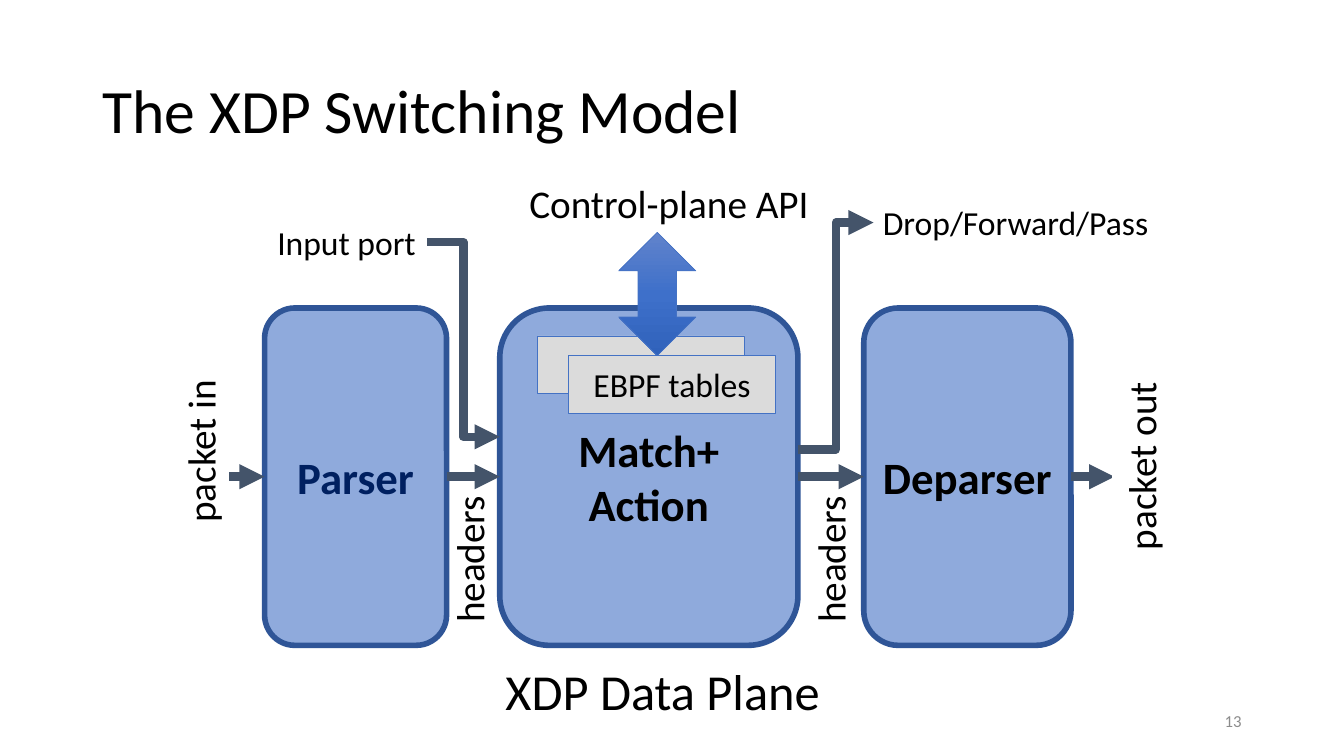
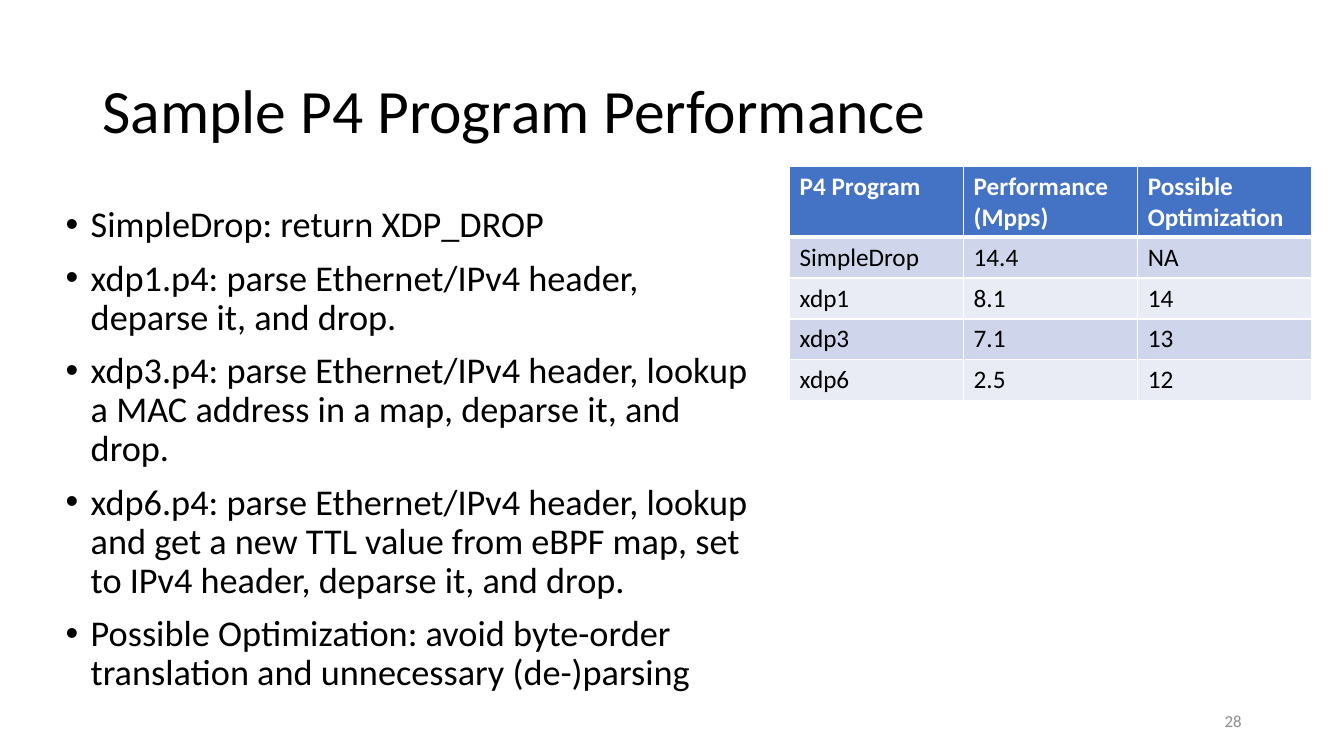
import copy

import pptx
import pptx.dml.color
import pptx.enum.shapes
import pptx.enum.text
import pptx.oxml.ns
import pptx.util
from lxml import etree

BLACK = pptx.dml.color.RGBColor(0x00, 0x00, 0x00)
WHITE = pptx.dml.color.RGBColor(0xFF, 0xFF, 0xFF)
NAVY = pptx.dml.color.RGBColor(0x00, 0x20, 0x60)
GREY = pptx.dml.color.RGBColor(0x8C, 0x8C, 0x8C)
BLOCK_FILL = pptx.dml.color.RGBColor(0x8F, 0xAA, 0xDC)
BLOCK_LINE = pptx.dml.color.RGBColor(0x2F, 0x55, 0x97)
ARROW = pptx.dml.color.RGBColor(0x44, 0x54, 0x6A)
ACCENT = pptx.dml.color.RGBColor(0x44, 0x72, 0xC4)
TABLE_GREY = pptx.dml.color.RGBColor(0xDB, 0xDB, 0xDB)
BAND_DARK = pptx.dml.color.RGBColor(0xCF, 0xD5, 0xEA)
BAND_LIGHT = pptx.dml.color.RGBColor(0xE9, 0xEB, 0xF5)
GRADIENT = (
    pptx.dml.color.RGBColor(0x61, 0x83, 0xCB),
    pptx.dml.color.RGBColor(0x3E, 0x70, 0xCA),
    pptx.dml.color.RGBColor(0x30, 0x62, 0xBB),
)
FONT = "Calibri"
SHAPE = pptx.enum.shapes.MSO_SHAPE
CONNECTOR = pptx.enum.shapes.MSO_CONNECTOR
ALIGN = pptx.enum.text.PP_ALIGN
ANCHOR = pptx.enum.text.MSO_ANCHOR

TITLE_BOX = (66, 29, 828, 104)
NUMBER_BOX = (678, 500.4, 216, 28.8)

PROGRAMS = [
    "SimpleDrop: return XDP_DROP",
    "xdp1.p4: parse Ethernet/IPv4 header, deparse it, and drop.",
    "xdp3.p4: parse Ethernet/IPv4 header, lookup a MAC address in a map, deparse it, and drop.",
    "xdp6.p4: parse Ethernet/IPv4 header, lookup and get a new TTL value from eBPF map, "
    "set to IPv4 header, deparse it, and drop.",
    "Possible Optimization: avoid byte-order translation and unnecessary (de-)parsing",
]
RESULTS = [
    ("P4 Program", "Performance (Mpps)", "Possible Optimization"),
    ("SimpleDrop", "14.4", "NA"),
    ("xdp1", "8.1", "14"),
    ("xdp3", "7.1", "13"),
    ("xdp6", "2.5", "12"),
]


def pts(*values):
    return [pptx.util.Pt(v) for v in values]


def write(tf, text, size=18, color=BLACK, bold=False, align=ALIGN.LEFT,
          spacing=None, gap=0, bullet=False):
    for i, line in enumerate(text.split("\n")):
        p = tf.add_paragraph() if i else tf.paragraphs[0]
        if bullet:
            pPr = p._p.get_or_add_pPr()
            indent = pptx.util.Pt(18)
            pPr.set("marL", str(indent))
            pPr.set("indent", str(-indent))
            etree.SubElement(pPr, pptx.oxml.ns.qn("a:buChar")).set("char", "•")
        p.alignment = align
        p.space_before = pptx.util.Pt(gap if i else 0)
        if spacing:
            p.line_spacing = spacing
        r = p.add_run()
        r.text = line
        r.font.name = FONT
        r.font.size = pptx.util.Pt(size)
        r.font.bold = bold
        r.font.color.rgb = color


def fill_placeholder(sp, box, text, **fmt):
    sp.left, sp.top, sp.width, sp.height = pts(*box)
    sp.text_frame.auto_size = pptx.enum.text.MSO_AUTO_SIZE.NONE
    write(sp.text_frame, text, spacing=0.9, **fmt)


def add_label(s, box, text, wrap=False, anchor=ANCHOR.TOP, **fmt):
    sp = s.shapes.add_textbox(*pts(*box))
    sp.text_frame.word_wrap = wrap
    sp.text_frame.vertical_anchor = anchor
    write(sp.text_frame, text, **fmt)
    return sp


def add_vertical_label(s, cx, cy, length, text, fill=None):
    height = 41
    sp = add_label(s, (cx - length / 2, cy - height / 2, length, height), text, size=28)
    sp.rotation = 270
    if fill is not None:
        sp.fill.solid()
        sp.fill.fore_color.rgb = fill


def add_block(s, kind, box, fill, line, weight, text="", wrap=True, **fmt):
    sp = s.shapes.add_shape(kind, *pts(*box))
    sp.shadow.inherit = False
    sp.fill.solid()
    sp.fill.fore_color.rgb = fill
    sp.line.color.rgb = line
    sp.line.width = pptx.util.Pt(weight)
    sp.text_frame.word_wrap = wrap
    sp.text_frame.vertical_anchor = ANCHOR.MIDDLE
    if text:
        write(sp.text_frame, text, align=ALIGN.CENTER, **fmt)
    return sp


def add_arrow(s, start, end, kind=CONNECTOR.STRAIGHT, source=None, target=None):
    c = s.shapes.add_connector(kind, *pts(*start, *end))
    if source is not None:
        c.begin_connect(source, 3)
    if target is not None:
        c.end_connect(target, 1)
    c.line.color.rgb = ARROW
    c.line.width = pptx.util.Pt(6)
    ln = c.line._get_or_add_ln()
    etree.SubElement(ln, pptx.oxml.ns.qn("a:tailEnd")).set("type", "triangle")
    etree.SubElement(c._element.spPr, pptx.oxml.ns.qn("a:effectLst"))


def add_api_arrow(s, box):
    sp = add_block(s, SHAPE.UP_DOWN_ARROW, box, ACCENT, ACCENT, 0.5)
    sp.fill.gradient()
    sp.fill.gradient_angle = 270
    first = sp._element.spPr.find(".//" + pptx.oxml.ns.qn("a:gs"))
    first.addnext(copy.deepcopy(first))
    for i, (stop, color) in enumerate(zip(sp.fill.gradient_stops, GRADIENT)):
        stop.position = i / 2
        stop.color.rgb = color


def add_switch_diagram(s, x, y):
    top, height = y + 100, 241
    mid = top + height / 2
    blocks = []
    for left, width, text, color, wrap in (
        (69, 130, "Parser", NAVY, True),
        (237, 213, "Match+\nAction", BLACK, True),
        (497, 148, "Deparser", BLACK, False),
    ):
        blocks.append(add_block(s, SHAPE.ROUNDED_RECTANGLE, (x + left, top, width, height),
                                BLOCK_FILL, BLOCK_LINE, 4, text, wrap,
                                size=32, color=color, bold=True))
    parser, match, deparser = blocks

    for left, right, source, target in (
        (5, 69, None, parser),
        (199, 237, parser, match),
        (450, 497, match, deparser),
        (645, 676, deparser, None),
    ):
        add_arrow(s, (x + left, mid), (x + right, mid), source=source, target=target)
    add_arrow(s, (x + 450, y + 201), (x + 504, y + 39), CONNECTOR.ELBOW)
    add_arrow(s, (x + 185, y + 53), (x + 237, y + 192), CONNECTOR.ELBOW)

    for left, up, text in ((264, 120, ""), (286, 134, "EBPF tables")):
        add_block(s, SHAPE.RECTANGLE, (x + left, y + up, 148, 41),
                  TABLE_GREY, ACCENT, 0.5, text, size=24)
    add_api_arrow(s, (x + 322, y + 46, 55, 88))

    for left, up, width, tall, text, size in (
        (234, 348, 241, 51, "XDP Data Plane", 36),
        (251, 4.5, 216, 41, "Control-plane API", 28),
        (503.5, 21, 206, 36, "Drop/Forward/Pass", 24),
        (71, 35, 114, 36, "Input port", 24),
    ):
        add_label(s, (x + left, y + up, width, tall), text, size=size)
    for cx, cy, length, text, fill in (
        (23, 202, 117, "packet in", WHITE),
        (695, 212, 136, "packet out", WHITE),
        (215, 278.5, 107, "headers", None),
        (473, 278.5, 107, "headers", None),
    ):
        add_vertical_label(s, x + cx, y + cy, length, text, fill)


def add_border(cell, side, weight):
    ln = etree.SubElement(cell._tc.get_or_add_tcPr(), pptx.oxml.ns.qn("a:ln" + side))
    ln.set("w", str(pptx.util.Pt(weight)))
    solid = etree.SubElement(ln, pptx.oxml.ns.qn("a:solidFill"))
    etree.SubElement(solid, pptx.oxml.ns.qn("a:srgbClr")).set("val", str(WHITE))


def add_results_table(s, x, y, width):
    head, row_height = 50.4, 29.2
    rows, cols = len(RESULTS), len(RESULTS[0])
    total = head + row_height * (rows - 1)
    table = s.shapes.add_table(rows, cols, *pts(x, y, width, total)).table
    table.horz_banding = False
    for column in table.columns:
        column.width = pptx.util.Pt(width / cols)
    for i, values in enumerate(RESULTS):
        table.rows[i].height = pptx.util.Pt(row_height if i else head)
        fill = (BAND_LIGHT, BAND_DARK)[i % 2] if i else ACCENT
        for j, value in enumerate(values):
            cell = table.cell(i, j)
            for side in "LRTB":
                heavy = (i, side) in ((0, "B"), (1, "T"))
                add_border(cell, side, 3 if heavy else 1)
            cell.fill.solid()
            cell.fill.fore_color.rgb = fill
            write(cell.text_frame, value, size=18, bold=i == 0,
                  color=BLACK if i else WHITE)


def add_titled_slide(prs, layout, title, number):
    s = prs.slides.add_slide(prs.slide_layouts[layout])
    fill_placeholder(s.shapes.title, TITLE_BOX, title, size=44)
    add_label(s, NUMBER_BOX, number, wrap=True, anchor=ANCHOR.MIDDLE,
              size=12, color=GREY, align=ALIGN.RIGHT)
    return s


def build_model_slide(prs):
    s = add_titled_slide(prs, 5, "The XDP Switching Model", "13")
    add_switch_diagram(s, 120, 120)


def build_performance_slide(prs):
    s = add_titled_slide(prs, 1, "Sample P4 Program Performance", "28")
    fill_placeholder(s.placeholders[1], (39.6, 144, 503, 343), "\n".join(PROGRAMS),
                     size=25.9, gap=10, bullet=True)
    add_results_table(s, 564, 119, 373)


def main():
    prs = pptx.Presentation()
    prs.slide_width, prs.slide_height = pts(960, 540)
    build_model_slide(prs)
    build_performance_slide(prs)
    prs.save("out.pptx")


if __name__ == "__main__":
    main()
